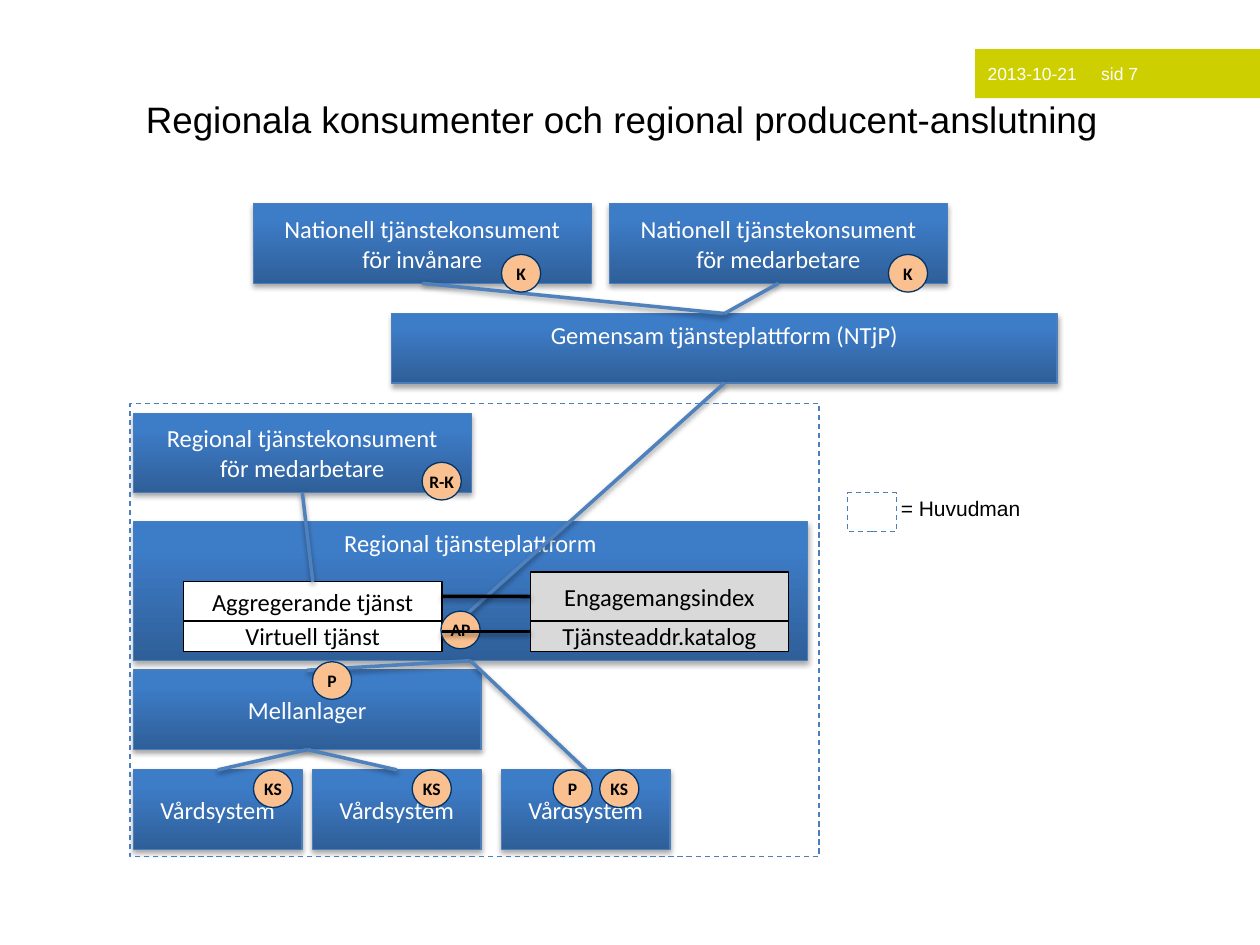
import pptx
import pptx.util
import pptx.dml.color
import pptx.enum.dml
import pptx.enum.shapes
import pptx.enum.text
import pptx.oxml
import pptx.oxml.ns

Cm = pptx.util.Cm
Pt = pptx.util.Pt
RGBColor = pptx.dml.color.RGBColor
Shape = pptx.enum.shapes.MSO_SHAPE
Anchor = pptx.enum.text.MSO_ANCHOR
Align = pptx.enum.text.PP_ALIGN

BLACK = RGBColor(0x00, 0x00, 0x00)
WHITE = RGBColor(0xFF, 0xFF, 0xFF)
GREY = RGBColor(0xD9, 0xD9, 0xD9)
LIME = RGBColor(0xCE, 0xCF, 0x00)
PEACH = RGBColor(0xFA, 0xC0, 0x90)
NAVY = RGBColor(0x00, 0x34, 0x68)
DARK = RGBColor(0x2F, 0x5F, 0x99)
LIGHT = RGBColor(0x3D, 0x7C, 0xC7)
EDGE = RGBColor(0x4B, 0x7E, 0xBC)
LINK = RGBColor(0x4F, 0x81, 0xBD)

deck = pptx.Presentation()
deck.slide_width = Cm(25.4)
deck.slide_height = Cm(19.05)
slide = deck.slides.add_slide(deck.slide_layouts[6])
shapes = slide.shapes


def put(kind, spot, text="", fill=None, edge=None, size=14, font="Calibri",
        color=BLACK, align=Align.CENTER, anchor=Anchor.MIDDLE):
    place = [Cm(n) for n in spot]
    if kind is None:
        item = shapes.add_textbox(*place)
    else:
        item = shapes.add_shape(kind, *place)
        item.shadow.inherit = False
    if fill is None:
        item.fill.background()
    else:
        item.fill.solid()
        item.fill.fore_color.rgb = fill
    if edge is None:
        item.line.fill.background()
    else:
        item.line.color.rgb = edge
        item.line.width = Pt(0.75)
    frame = item.text_frame
    frame.word_wrap = True
    frame.vertical_anchor = anchor
    if text:
        frame.text = text
    for para in frame.paragraphs:
        para.alignment = align
        for run in para.runs:
            run.font.size = Pt(size)
            run.font.name = font
            run.font.color.rgb = color
    return item


def shade(item, alpha, dist):
    props = item._element.spPr
    for old in props.findall(pptx.oxml.ns.qn("a:effectLst")):
        props.remove(old)
    props.append(pptx.oxml.parse_xml(
        f'<a:effectLst {pptx.oxml.ns.nsdecls("a")}>'
        f'<a:outerShdw blurRad="{Pt(3.1)}" dist="{Pt(dist)}" dir="5400000" rotWithShape="0">'
        f'<a:srgbClr val="000000"><a:alpha val="{alpha * 1000}"/></a:srgbClr>'
        '</a:outerShdw></a:effectLst>'))


put(None, (2.69, 1.32, 21.23, 2.16),
    "Regionala konsumenter och regional producent-anslutning",
    size=21, font="Arial", align=Align.LEFT)
tag = put(Shape.RECTANGLE, (19.66, 0.99, 5.74, 0.99), "2013-10-21\tsid 7",
          fill=LIME, size=10, font="Arial", color=WHITE, align=Align.LEFT)
tag.text_frame.paragraphs[0]._p.get_or_add_pPr().append(pptx.oxml.parse_xml(
    f'<a:tabLst {pptx.oxml.ns.nsdecls("a")}><a:tab pos="{Cm(2.29)}" algn="l"/></a:tabLst>'))

boxes = {}
for name, spot, text, anchor in [
    ("care1", (2.69, 15.52, 3.4, 1.6), "Vårdsystem", Anchor.MIDDLE),
    ("care2", (6.3, 15.52, 3.4, 1.6), "Vårdsystem", Anchor.MIDDLE),
    ("care3", (10.11, 15.52, 3.4, 1.6), "Vårdsystem", Anchor.MIDDLE),
    ("store", (2.69, 13.51, 7.01, 1.6), "Mellanlager", Anchor.MIDDLE),
    ("region", (2.69, 10.52, 13.59, 2.8), "Regional tjänsteplattform", Anchor.TOP),
    ("common", (7.9, 6.32, 13.41, 1.4), "Gemensam tjänsteplattform (NTjP)", Anchor.TOP),
    ("public", (5.11, 4.11, 6.81, 1.6),
     "Nationell tjänstekonsument\nför invånare", Anchor.MIDDLE),
    ("staff", (12.29, 4.11, 6.81, 1.6),
     "Nationell tjänstekonsument\nför medarbetare", Anchor.MIDDLE),
    ("local", (2.69, 8.33, 6.81, 1.6),
     "Regional tjänstekonsument\nför medarbetare", Anchor.MIDDLE),
]:
    box = put(Shape.RECTANGLE, spot, text, edge=EDGE, color=WHITE, anchor=anchor)
    box.fill.gradient()
    box.fill.gradient_angle = 90
    for stop, color, pos in zip(box.fill.gradient_stops, (DARK, LIGHT), (0, 0.8)):
        stop.color.rgb = color
        stop.position = pos
    shade(box, 35, 1.8)
    boxes[name] = box

for name, left, top, high, text, fill in [
    ("virtual", 3.7, 12.52, 0.61, "Virtuell tjänst", WHITE),
    ("merge", 3.7, 11.73, 0.79, "Aggregerande tjänst", WHITE),
    ("index", 10.69, 11.53, 0.99, "Engagemangsindex", GREY),
    ("address", 10.69, 12.52, 0.61, "Tjänsteaddr.katalog", GREY),
]:
    boxes[name] = put(Shape.RECTANGLE, (left, top, 5.21, high), text, fill, BLACK)

links = []
for start, out, end, into in [
    ("public", 2, "common", 0),
    ("staff", 2, "common", 0),
    ("common", 2, "virtual", 3),
    ("region", 2, "store", 0),
    ("region", 2, "care3", 0),
    ("store", 2, "care1", 0),
    ("store", 2, "care2", 0),
    ("local", 2, "merge", 0),
]:
    link = shapes.add_connector(pptx.enum.shapes.MSO_CONNECTOR.STRAIGHT, 0, 0, 0, 0)
    link.begin_connect(boxes[start], out)
    link.end_connect(boxes[end], into)
    links.append((link, LINK))

for spot in [(2.62, 8.13, 13.89, 9.14), (17.09, 9.93, 0.99, 0.79)]:
    border = put(Shape.RECTANGLE, spot, edge=EDGE)
    border.line.dash_style = pptx.enum.dml.MSO_LINE.DASH
put(None, (17.91, 9.86, 3, 0.76), "= Huvudman", size=12, font="Arial",
    align=Align.LEFT, anchor=Anchor.TOP)

for text, left, top in [
    ("AP", 8.89, 12.32), ("K", 10.11, 5.13), ("K", 17.91, 5.13),
    ("R-K", 8.51, 9.32), ("P", 6.3, 13.34), ("KS", 5.11, 15.52),
    ("KS", 8.31, 15.52), ("P", 11.15, 15.52), ("KS", 12.09, 15.52),
]:
    badge = put(Shape.OVAL, (left, top, 0.79, 0.76), text, PEACH, NAVY, size=10)
    frame = badge.text_frame
    frame.word_wrap = False
    frame.margin_left = frame.margin_right = Cm(0.18)
    frame.margin_top = frame.margin_bottom = Cm(0.08)
    frame.paragraphs[0].runs[0].font.bold = True

for top in (12.02, 12.73):
    link = shapes.add_connector(pptx.enum.shapes.MSO_CONNECTOR.STRAIGHT,
                                Cm(8.91), Cm(top), Cm(10.69), Cm(top))
    if top == 12.02:
        link.end_connect(boxes["index"], 1)
    links.append((link, BLACK))

for link, color in links:
    link.line.color.rgb = color
    link.line.width = Pt(2)
    shade(link, 38, 1.6)

deck.save("out.pptx")
